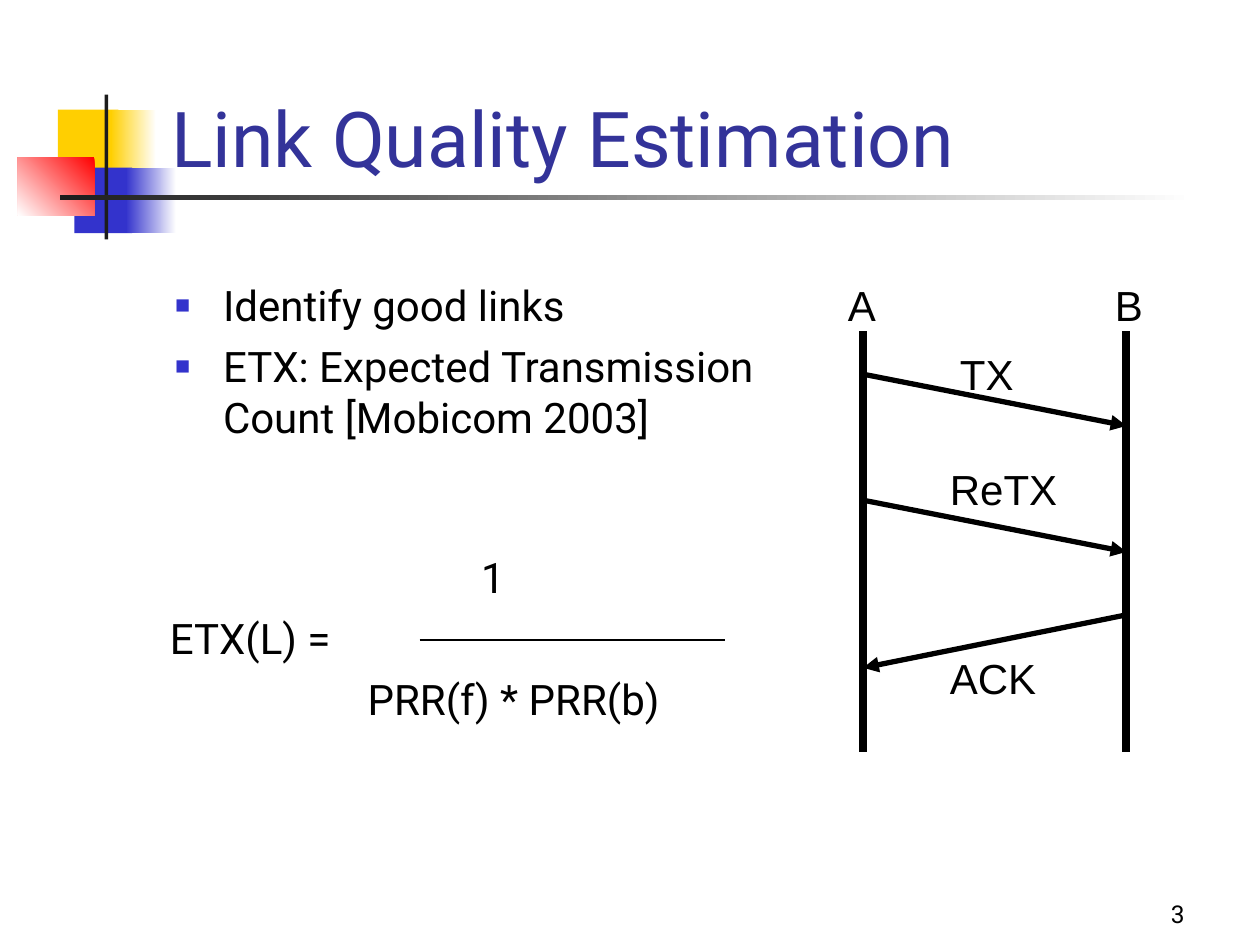
from dataclasses import dataclass

from lxml.etree import SubElement
from pptx import Presentation
from pptx.dml.color import RGBColor
from pptx.enum.shapes import MSO_CONNECTOR, MSO_SHAPE
from pptx.enum.text import MSO_ANCHOR, MSO_AUTO_SIZE, PP_ALIGN
from pptx.oxml.ns import qn
from pptx.util import Inches, Pt


@dataclass(frozen=True)
class Theme:
    ink: str = "000000"
    white: str = "FFFFFF"
    dark: str = "1C1C1C"
    gold: str = "FFCF01"
    blue: str = "3333CC"
    red: str = "FF0000"
    head: str = "333399"
    sans: str = "Roboto"
    plain: str = "Arial"
    big: int = 44
    text: int = 24
    small: int = 14


def apply(item, values):
    for name, value in values.items():
        setattr(item, name, value)


def place(box):
    names = ("left", "top", "width", "height")
    return dict(zip(names, map(Inches, box)))


class Deck:
    def __init__(self, theme):
        self.theme = theme
        self.prs = Presentation()
        apply(self.prs, {"slide_width": Inches(10), "slide_height": Inches(7.5)})
        self.slide = self.prs.slides.add_slide(self.prs.slide_layouts[1])
        self.shapes = self.slide.shapes

    def block(self, box, color, end=None, angle=0):
        """Draw a borderless rectangle, blending to the end colour if given."""
        shape = self.shapes.add_shape(MSO_SHAPE.RECTANGLE, **place(box))
        shape.shadow.inherit = False
        shape.line.fill.background()
        if end is None:
            shape.fill.solid()
            shape.fill.fore_color.rgb = RGBColor.from_string(color)
            return
        shape.fill.gradient()
        shape.fill.gradient_angle = angle
        for stop, tint in zip(shape.fill.gradient_stops, (color, end)):
            stop.color.rgb = RGBColor.from_string(tint)

    def line(self, start, end, width, arrow=None):
        """Draw a line; arrow is "headEnd" (at start) or "tailEnd" (at end)."""
        link = self.shapes.add_connector(
            MSO_CONNECTOR.STRAIGHT, *map(Inches, start + end))
        link.line.width = Pt(width)
        link.line.color.rgb = RGBColor.from_string(self.theme.ink)
        props = link.element.spPr
        if arrow:
            SubElement(props.find(qn("a:ln")), qn(f"a:{arrow}"), type="triangle")
        SubElement(props, qn("a:effectLst"))

    def fill_in(self, shape, lines, size, font=None, color=None,
                anchor=MSO_ANCHOR.TOP, **layout):
        """Put styled lines into a shape and return its paragraphs."""
        frame = shape.text_frame
        apply(frame, {"text": "\n".join(lines), "word_wrap": True,
                      "auto_size": MSO_AUTO_SIZE.NONE,
                      "vertical_anchor": anchor})
        for para in frame.paragraphs:
            apply(para, {"alignment": PP_ALIGN.LEFT, **layout})
            for run in para.runs:
                apply(run.font, {"size": Pt(size),
                                 "name": font or self.theme.sans})
                run.font.color.rgb = RGBColor.from_string(color or self.theme.ink)
        return frame.paragraphs

    def text(self, box, lines, size, **style):
        return self.fill_in(self.shapes.add_textbox(**place(box)),
                            lines, size, **style)

    def label(self, left, top, width, word):
        self.text((left, top, width, 0.5), [word], self.theme.text,
                  font=self.theme.plain)

    def holder(self, shape, box):
        """Move a placeholder into its box, in front of what is drawn so far."""
        apply(shape, place(box))
        shape.element.getparent().append(shape.element)
        return shape

    def title(self, box, words):
        self.fill_in(self.holder(self.shapes.title, box), [words],
                     self.theme.big, color=self.theme.head,
                     anchor=MSO_ANCHOR.BOTTOM)

    def bullets(self, box, lines):
        body = self.holder(self.slide.placeholders[1], box)
        for para in self.fill_in(body, lines, self.theme.text,
                                 space_before=Pt(6)):
            props = indent(para, 0.38, -0.38)
            color = SubElement(props, qn("a:buClr"))
            SubElement(color, qn("a:srgbClr"), val=self.theme.blue)
            SubElement(props, qn("a:buSzPct"), val="60000")
            SubElement(props, qn("a:buChar"), char="■")


def indent(para, left, first=0):
    """Set the indents in inches and return the paragraph properties."""
    props = para._p.get_or_add_pPr()
    props.set("marL", str(Inches(left)))
    props.set("indent", str(Inches(first)))
    return props


def motif(deck):
    look = deck.theme
    deck.block((0.46, 0.87, 0.48, 0.52), look.gold)
    deck.block((0.88, 0.87, 0.36, 0.52), look.white, look.gold, 180)
    deck.block((0.59, 1.33, 0.46, 0.52), look.blue)
    deck.block((1, 1.33, 0.4, 0.52), look.white, look.blue, 180)
    deck.block((0.14, 1.25, 0.61, 0.46), look.red, look.white, 225)
    deck.block((0.83, 0.75, 0.03, 1.15), look.dark)
    deck.block((0.48, 1.55, 9, 0.04), look.white, look.dark, 180)


def timeline(deck):
    node_a, node_b = 6.85, 8.94
    for x in (node_a, node_b):
        deck.line((x, 2.63), (x, 5.97), 4.5)
    signals = [
        ("TX", 2.97, 3.38, "tailEnd", (7.52, 2.72, 0.75)),
        ("ReTX", 3.97, 4.38, "tailEnd", (7.44, 3.63, 1.25)),
        ("ACK", 5.3, 4.88, "headEnd", (7.44, 5.13, 1.25)),
    ]
    for word, left, right, arrow, spot in signals:
        # The reply runs from B back to A, so its ends swap heights.
        ends = (right, left) if arrow == "headEnd" else (left, right)
        deck.line((node_a, max(ends) if arrow == "headEnd" else left),
                  (node_b, min(ends) if arrow == "headEnd" else right), 3, arrow)
        deck.label(*spot, word)
    deck.label(6.63, 2.17, 1.25, "A")
    deck.label(8.75, 2.17, 1.25, "B")


def formula(deck):
    rows = {"1": 2.47, "ETX(L) =": 0, "PRR(f) * PRR(b)": 1.57}
    paras = deck.text((1.25, 4.33, 5.07, 2.92), rows, deck.theme.text,
                      space_before=Pt(6))
    for para, left in zip(paras, rows.values()):
        indent(para, left)
    deck.line((3.33, 5.08), (5.75, 5.08), 1.5)


def main():
    deck = Deck(Theme())
    motif(deck)
    deck.title((1.26, 0.25, 8.52, 1.25), "Link Quality Estimation")
    deck.bullets((1.29, 2.17, 5.07, 2), [
        "Identify good links",
        "ETX: Expected Transmission Count [Mobicom 2003]",
    ])
    timeline(deck)
    formula(deck)
    deck.text((7.42, 6.92, 2.08, 0.5), ["3"], deck.theme.small,
              anchor=MSO_ANCHOR.BOTTOM, alignment=PP_ALIGN.RIGHT)
    deck.prs.save("out.pptx")


if __name__ == "__main__":
    main()
